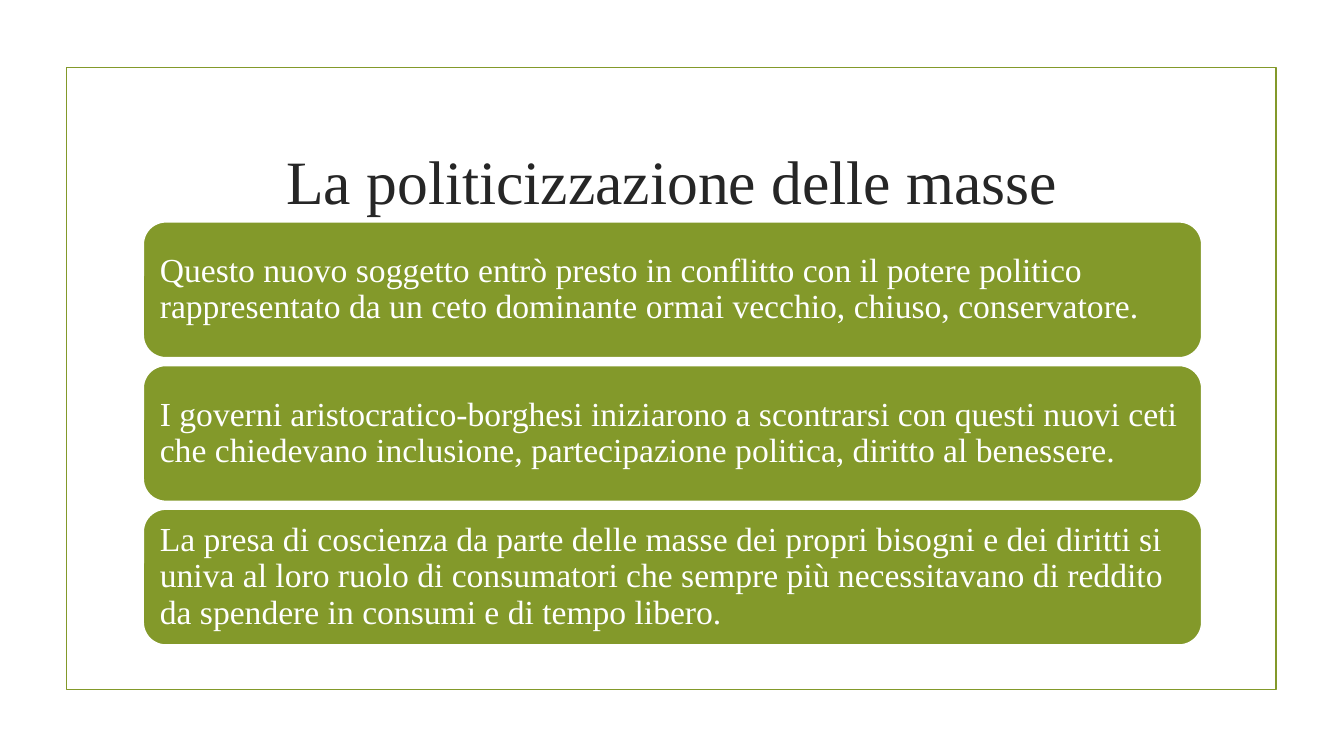
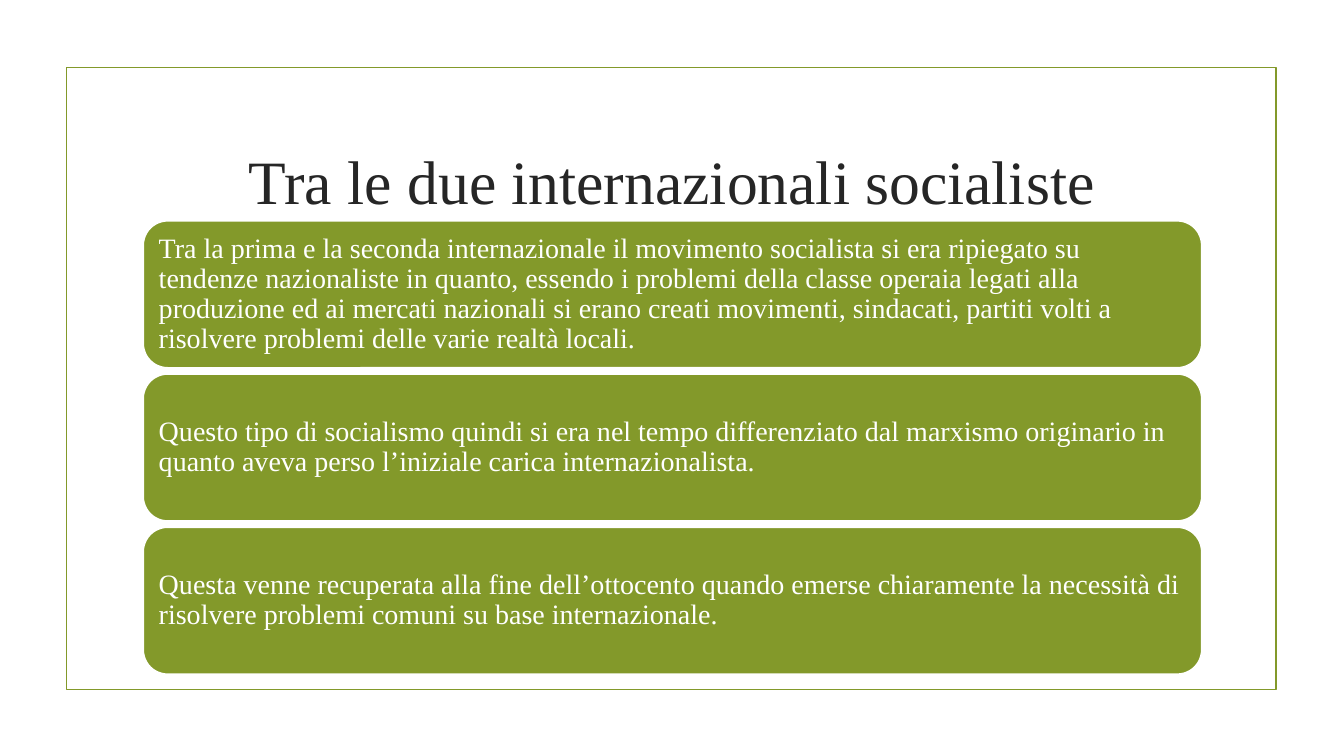
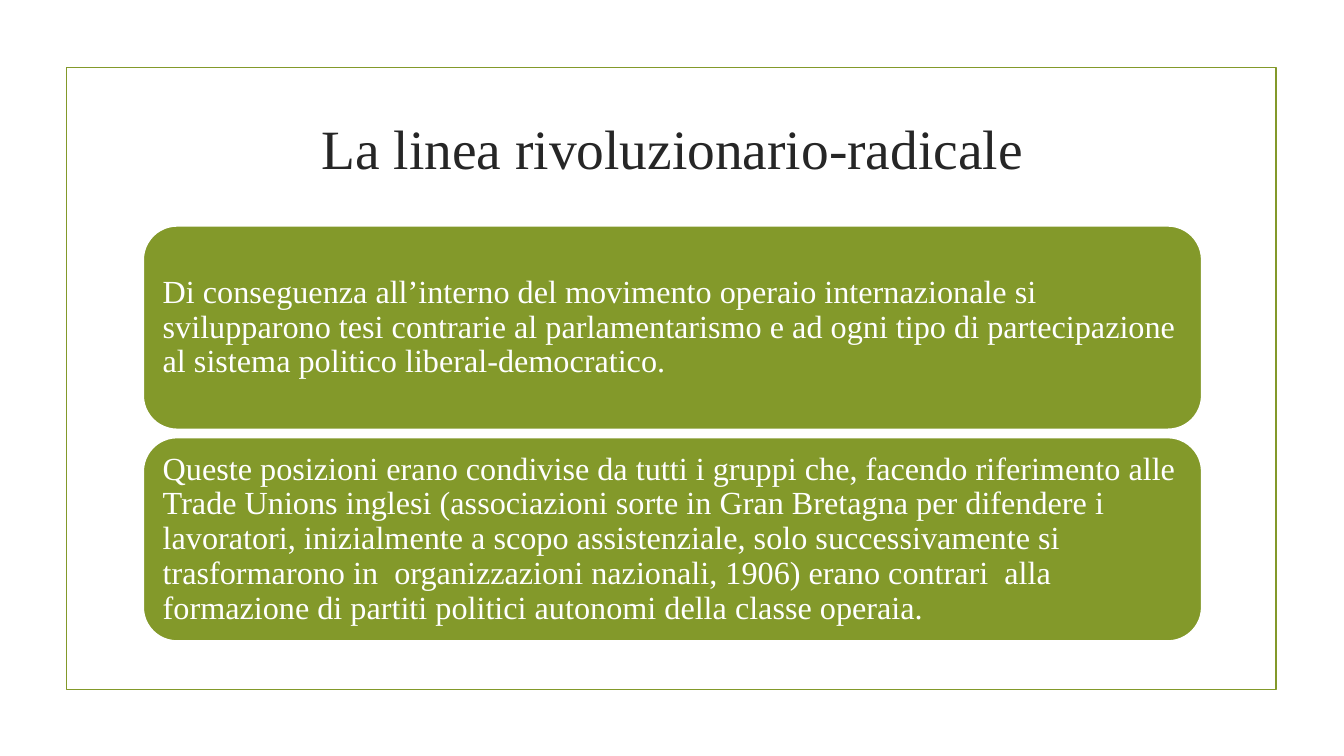
from dataclasses import dataclass

from pptx import Presentation
from pptx.dml.color import RGBColor
from pptx.enum.shapes import MSO_SHAPE
from pptx.enum.text import MSO_ANCHOR, MSO_AUTO_SIZE, PP_ALIGN
from pptx.util import Inches, Pt


@dataclass(frozen=True)
class Theme:
    font: str = "Times New Roman"
    green: RGBColor = RGBColor(0x83, 0x99, 0x2A)
    white: RGBColor = RGBColor(0xFF, 0xFF, 0xFF)
    dark: RGBColor = RGBColor(0x26, 0x26, 0x26)
    line_width: float = 1.25
    title_size: float = 44
    small_title_size: float = 39.6
    card_size: float = 24
    medium_card_size: float = 23
    small_card_size: float = 20
    inset_ratio: float = 0.3
    card_spacing: float = 0.9


THEME = Theme()
LEFT, WIDTH, TITLE_TOP = 1.42, 10.5, 1.07


class SlideBuilder:
    def __init__(self, deck, theme):
        self.deck = deck
        self.theme = theme
        self.layout = deck.slide_layouts[5]
        self.page = None

    def new_page(self):
        first = self.page is None
        self.page = self.deck.slides.add_slide(self.layout)
        if first:
            self.frame()

    def frame(self):
        """Place the green border in the shared layout, behind everything."""
        border = self.shape(MSO_SHAPE.RECTANGLE, 0.66, 0.67, 12, 6.17, self.theme.green)
        border.fill.background()
        border.element.nvSpPr.cNvPr.id = 20
        self.layout.shapes.element.insert(2, border.element)

    def shape(self, kind, left, top, width, height, line_color):
        box = self.page.shapes.add_shape(
            kind, Inches(left), Inches(top), Inches(width), Inches(height))
        box.shadow.inherit = False
        box.line.color.rgb = line_color
        box.line.width = Pt(self.theme.line_width)
        return box

    def add_text(self, box, text, size, color, align):
        """Fill a shape with one paragraph and return that paragraph."""
        frame = box.text_frame
        frame.word_wrap = True
        frame.auto_size = MSO_AUTO_SIZE.NONE
        frame.vertical_anchor = MSO_ANCHOR.MIDDLE
        para = frame.paragraphs[0]
        para.alignment = align
        span = para.add_run()
        span.text = text
        span.font.name = self.theme.font
        span.font.size = Pt(size)
        span.font.color.rgb = color
        return para

    def title(self, text, size, height):
        box = self.page.shapes.title
        box.left, box.top = Inches(LEFT), Inches(TITLE_TOP)
        box.width, box.height = Inches(WIDTH), Inches(height)
        self.add_text(box, text, size, self.theme.dark, PP_ALIGN.CENTER)

    def card(self, text, top, height, size):
        box = self.shape(MSO_SHAPE.ROUNDED_RECTANGLE, LEFT, top, WIDTH, height,
                         self.theme.white)
        box.fill.solid()
        box.fill.fore_color.rgb = self.theme.green
        frame = box.text_frame
        inset = Pt(size * self.theme.inset_ratio)
        frame.margin_left = frame.margin_right = inset
        frame.margin_top = frame.margin_bottom = inset
        para = self.add_text(box, text, size, self.theme.white, PP_ALIGN.LEFT)
        para.line_spacing = self.theme.card_spacing

    def cards(self, texts, top, bottom, height, size):
        """Spread equal cards from top to bottom with equal gaps."""
        pitch = (bottom - top - height) / (len(texts) - 1)
        for index, text in enumerate(texts):
            self.card(text, top + index * pitch, height, size)


def masses_slide(builder):
    builder.new_page()
    builder.title("La politicizzazione delle masse", THEME.title_size, 1.43)
    builder.cards([
        "Questo nuovo soggetto entrò presto in conflitto con il potere politico "
        "rappresentato da un ceto dominante ormai vecchio, chiuso, conservatore.",
        "I governi aristocratico-borghesi iniziarono a scontrarsi con questi nuovi ceti "
        "che chiedevano inclusione, partecipazione politica, diritto al benessere.",
        "La presa di coscienza da parte delle masse dei propri bisogni e dei diritti si "
        "univa al loro ruolo di consumatori che sempre più necessitavano di reddito "
        "da spendere in consumi e di tempo libero.",
    ], top=2.2, bottom=6.4, height=1.35, size=THEME.card_size)


def internationals_slide(builder):
    builder.new_page()
    builder.title("Tra le due internazionali socialiste", THEME.title_size, 1.43)
    builder.cards([
        "Tra la prima e la seconda internazionale il movimento socialista si era "
        "ripiegato su tendenze nazionaliste in quanto, essendo i problemi della classe "
        "operaia legati alla produzione ed ai mercati nazionali si erano creati "
        "movimenti, sindacati, partiti volti a risolvere problemi delle varie realtà "
        "locali.",
        "Questo tipo di socialismo quindi si era nel tempo differenziato dal marxismo "
        "originario in quanto aveva perso l’iniziale carica internazionalista.",
        "Questa venne recuperata alla fine dell’ottocento quando emerse chiaramente la "
        "necessità di risolvere problemi comuni su base internazionale.",
    ], top=2.19, bottom=6.69, height=1.46, size=THEME.small_card_size)


def radical_slide(builder):
    builder.new_page()
    builder.title("La linea rivoluzionario-radicale", THEME.small_title_size, 0.78)
    builder.cards([
        "Di conseguenza all’interno del movimento operaio internazionale si "
        "svilupparono tesi contrarie al parlamentarismo e ad ogni tipo di "
        "partecipazione al sistema politico liberal-democratico.",
        "Queste posizioni erano condivise da tutti i gruppi che, facendo riferimento "
        "alle Trade Unions inglesi (associazioni sorte in Gran Bretagna per difendere i "
        "lavoratori, inizialmente a scopo assistenziale, solo successivamente si "
        "trasformarono in  organizzazioni nazionali, 1906) erano contrari  alla "
        "formazione di partiti politici autonomi della classe operaia.",
    ], top=2.24, bottom=6.36, height=2.02, size=THEME.medium_card_size)


def main():
    deck = Presentation()
    deck.slide_width, deck.slide_height = Inches(13.33), Inches(7.5)
    builder = SlideBuilder(deck, THEME)
    masses_slide(builder)
    internationals_slide(builder)
    radical_slide(builder)
    deck.save("out.pptx")


if __name__ == "__main__":
    main()
